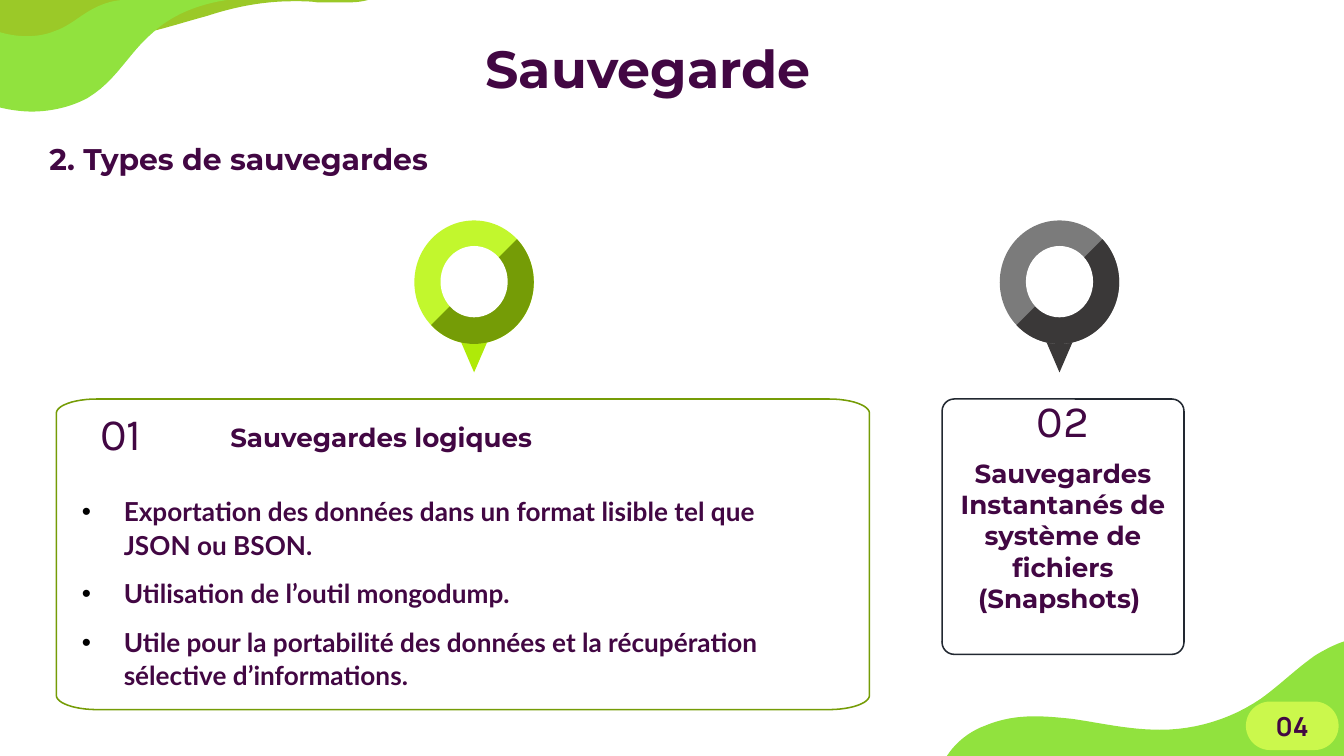
"""Build the slide on backup types, with two pins, two cards and green waves."""
from lxml.etree import SubElement
from pptx import Presentation
from pptx.dml.color import RGBColor
from pptx.enum.shapes import MSO_SHAPE as Preset
from pptx.enum.text import MSO_ANCHOR as Anchor, PP_ALIGN as Align
from pptx.oxml.ns import qn
from pptx.util import Pt

PURPLE = RGBColor(0x42, 0x07, 0x43)
GREEN = RGBColor(0x91, 0xE2, 0x3E)
OLIVE = RGBColor(0x9B, 0xC9, 0x28)
LIME = RGBColor(0xC2, 0xF7, 0x2D)
BRIGHT_LIME = RGBColor(0xAF, 0xEA, 0x09)
DARK_LIME = RGBColor(0x75, 0x9C, 0x06)
GRAY = RGBColor(0x7B, 0x7B, 0x7B)
CHARCOAL = RGBColor(0x3A, 0x38, 0x38)
NAVY = RGBColor(0x22, 0x28, 0x31)
BADGE = RGBColor(0xCB, 0xF8, 0x4C)
WHITE = RGBColor(0xFF, 0xFF, 0xFF)


def add_text(text, box=None, shape=None, size=14, font="Montserrat", bold=True,
             align=Align.CENTER, anchor=Anchor.TOP, inset=(7.2, 7.2),
             spacing=None, after=None, bullet=False):
    shape = shape or slide.shapes.add_textbox(*map(Pt, box))
    frame = shape.text_frame
    frame.word_wrap = True
    frame.vertical_anchor = anchor
    frame.margin_left = frame.margin_right = Pt(inset[0])
    frame.margin_top = frame.margin_bottom = Pt(inset[1])
    frame.text = text
    for paragraph in frame.paragraphs:
        if bullet:
            properties = paragraph._p.get_or_add_pPr()
            properties.set("marL", str(Pt(58.5)))
            properties.set("indent", str(-Pt(22.5)))
            color = SubElement(properties, qn("a:buClr"))
            SubElement(color, qn("a:srgbClr"), val="000000")
            SubElement(properties, qn("a:buFont"), typeface="Arial")
            SubElement(properties, qn("a:buChar"), char="•")
        paragraph.alignment = align
        paragraph.line_spacing = spacing
        if after:
            paragraph.space_after = Pt(after)
        for run in paragraph.runs:
            run.font.name = font
            run.font.size = Pt(size)
            run.font.bold = bold
            run.font.color.rgb = PURPLE


def add_outline(start, segments, fill=None, line=None, steps=12):
    points = [start]
    for segment in segments:
        if len(segment) == 2:
            points.append(segment)
            continue
        x0, y0 = points[-1]
        x1, y1, x2, y2, x3, y3 = segment
        for step in range(1, steps + 1):
            t = step / steps
            a, b, c, d = (1 - t) ** 3, 3 * t * (1 - t) ** 2, 3 * t * t * (1 - t), t ** 3
            points.append((a * x0 + b * x1 + c * x2 + d * x3,
                           a * y0 + b * y1 + c * y2 + d * y3))
    points = [(Pt(x), Pt(y)) for x, y in points]
    builder = slide.shapes.build_freeform(*points[0])
    builder.add_line_segments(points[1:], close=True)
    shape = builder.convert_to_shape()
    shape.shadow.inherit = False
    if fill:
        shape.fill.solid()
        shape.fill.fore_color.rgb = fill
    else:
        shape.fill.background()
    if line:
        shape.line.color.rgb = line
        shape.line.width = Pt(0.81)
    else:
        shape.line.fill.background()


presentation = Presentation()
presentation.slide_width = Pt(720)
presentation.slide_height = Pt(405)
slide = presentation.slides.add_slide(presentation.slide_layouts[6])

add_outline((726.5, 342), [
    (718.6, 343.4, 711.4, 347, 704.2, 351.4),
    (694.1, 358.6, 685.4, 367.2, 675.4, 374.4),
    (659.5, 385.2, 640.8, 391, 621.4, 391),
    (605, 391, 589.7, 387.4, 574.6, 385.2),
    (568.1, 384.5, 560.9, 383.8, 554.4, 383.8),
    (545, 383.8, 536.4, 385.2, 527.8, 388.8),
    (517.7, 392.4, 509, 400.3, 504.7, 409.7),
    (726.5, 409.7),
], fill=GREEN)
add_outline((0, -9.4), [
    (0, 20.2),
    (11.5, 21.6, 22.3, 22.3, 33.8, 22.3),
    (46.1, 22.3, 58.3, 21.6, 69.1, 19.4),
    (85, 16.6, 97.2, 12.2, 110.9, 8.6),
    (123.8, 4.3, 139.7, 0.7, 157, 0.7),
    (162.7, 0.7, 166.3, 0.7, 170.6, 1.4),
    (182.2, 1.4),
    (187.2, 1.4, 192.2, 1.4, 197.3, 0),
    (205.9, -1.4, 210.2, -5.8, 206.6, -9.4),
], fill=OLIVE)
add_outline((87.8, -9.4), [
    (89.3, -6.5, 87.8, -2.2, 84.2, -0.7),
    (82.1, 0, 79.9, 0, 77.8, 0),
    (67, 0),
    (59.8, 0, 52.6, 2.9, 46.8, 6.5),
    (41, 10.1, 36, 14.4, 29.5, 16.6),
    (24.5, 18.7, 19.4, 19.4, 14.4, 19.4),
    (9.4, 19.4, 5, 18.7, 0, 17.3),
    (0, 57.6),
    (5.8, 59, 11.5, 59.8, 17.3, 59.8),
    (28.1, 59.8, 38.9, 56.9, 46.8, 52.6),
    (62.6, 43.2, 69.1, 28.1, 82.1, 17.3),
    (92.2, 7.9, 106.6, 2.2, 121.7, 0),
    (128.9, -1.4, 136.1, -1.4, 142.6, -3.6),
    (146.9, -5, 150.5, -6.5, 153.4, -9.4),
], fill=GREEN)

add_text("Sauvegarde", (59.8, 10.1, 574.6, 45.4), size=28, spacing=1.07, after=8)
add_text("2. Types de sauvegardes", (19.4, 70.6, 269.3, 26.6), size=16,
         align=Align.LEFT, inset=(7.2, 3.6), spacing=1.07, after=8)

for center, tail, ring, shade in ((254, BRIGHT_LIME, LIME, DARK_LIME),
                                  (567.6, CHARCOAL, GRAY, CHARCOAL)):
    for preset, top, width, height, color in (
            (Preset.FLOWCHART_MERGE, 178.6, 18, 20.9, tail),
            (Preset.OVAL, 118.1, 64, 66.2, ring),
            (Preset.CHORD, 118.1, 64, 66.2, shade),
            (Preset.OVAL, 131.8, 36, 38.2, WHITE)):
        part = slide.shapes.add_shape(preset, Pt(center - width / 2), Pt(top),
                                      Pt(width), Pt(height))
        part.shadow.inherit = False
        part.fill.solid()
        part.fill.fore_color.rgb = color
        part.line.fill.background()
        if preset == Preset.CHORD:
            part.adjustments[0] = 189
            part.adjustments[1] = 81

add_outline((444.2, 380.2), [
    (51.8, 380.2),
    (39.6, 380.2, 30.2, 376.6, 30.2, 372.6),
    (30.2, 221.4),
    (30.2, 217.4, 39.6, 213.8, 51.8, 213.8),
    (444.2, 213.8),
    (456.4, 213.8, 465.8, 217.4, 465.8, 221.4),
    (465.8, 372.6),
    (465.8, 376.6, 456.4, 380.2, 444.2, 380.2),
], line=DARK_LIME)
add_text("01", (0, 217.4, 129.6, 28.8), size=24, font="Karla", bold=False,
         anchor=Anchor.MIDDLE)
add_text("Sauvegardes logiques ", (104.4, 196.6, 203.8, 74.9), anchor=Anchor.MIDDLE)

card = slide.shapes.add_shape(Preset.ROUNDED_RECTANGLE, Pt(504.7), Pt(213.8),
                              Pt(129.6), Pt(136.8))
card.adjustments[0] = 0.05
card.shadow.inherit = False
card.fill.background()
card.line.color.rgb = NAVY
card.line.width = Pt(0.81)
add_text("02", (504.7, 213.8, 129.6, 22.3), size=24, font="Karla", bold=False,
         anchor=Anchor.MIDDLE)
add_text("Sauvegardes Instantanés de système de fichiers (Snapshots) ",
         (504.7, 237.6, 129.6, 74.9))

add_text("Exportation des données dans un format lisible tel que JSON ou BSON.\n"
         "Utilisation de l’outil mongodump.\n"
         "Utile pour la portabilité des données et la récupération sélective "
         "d’informations.",
         (0.7, 260.9, 447.1, 112.8), font="Lato", align=Align.LEFT,
         inset=(7.2, 3.6), spacing=1.07, after=8, bullet=True)

badge = slide.shapes.add_shape(Preset.ROUNDED_RECTANGLE, Pt(668.2), Pt(376.6),
                               Pt(48.2), Pt(24.5))
badge.adjustments[0] = 0.5
badge.shadow.inherit = False
badge.fill.solid()
badge.fill.fore_color.rgb = BADGE
badge.line.color.rgb = BADGE
badge.line.width = Pt(1.5)
add_text("04", shape=badge, font="Manrope", anchor=Anchor.MIDDLE)

presentation.save("out.pptx")
